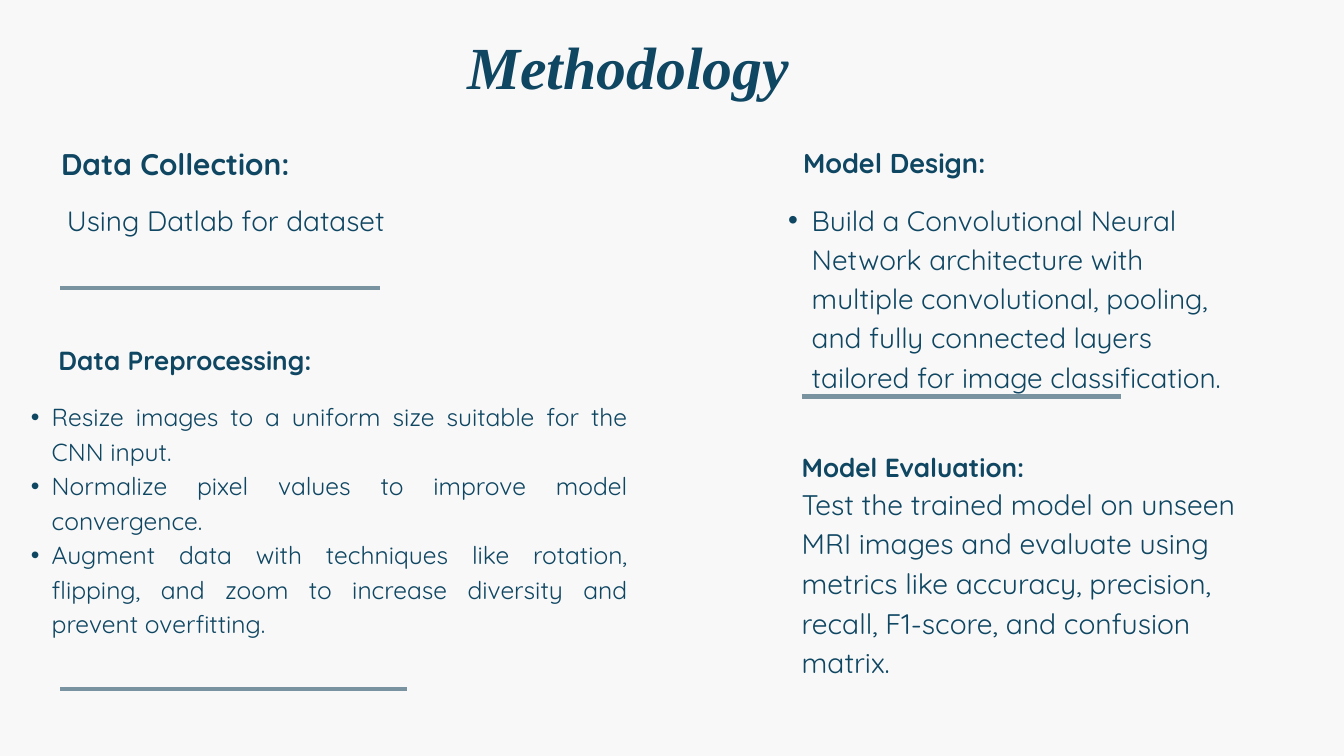
import pptx
import pptx.dml.color
import pptx.enum.shapes
import pptx.enum.text
import pptx.oxml
import pptx.oxml.ns
import pptx.util

Inches = pptx.util.Inches
Pt = pptx.util.Pt
Align = pptx.enum.text.PP_ALIGN

NAVY = "0F4662"
GREY_BLUE = "7994A0"
BACKGROUND = "F8F8F8"


def color(hex_value):
    return pptx.dml.color.RGBColor.from_string(hex_value)


def add_text(box, paragraphs, size, spacing, align=Align.LEFT, hanging=None, **font_extras):
    """Add a text box; hanging is the bullet's hanging indent in inches, half the left margin."""
    frame = slide.shapes.add_textbox(*[Inches(value) for value in box]).text_frame
    frame_format = {"word_wrap": True, "margin_left": 0, "margin_top": 0,
                    "margin_right": 0, "margin_bottom": 0}
    for name, value in frame_format.items():
        setattr(frame, name, value)
    font_format = {"name": "Quicksand", "size": Pt(size), **font_extras}
    for index, text in enumerate(paragraphs):
        paragraph = frame.add_paragraph() if index else frame.paragraphs[0]
        paragraph.alignment = align
        paragraph.line_spacing = Pt(spacing)
        run = paragraph.add_run()
        run.text = text
        for name, value in font_format.items():
            setattr(run.font, name, value)
        run.font.color.rgb = color(NAVY)
        if hanging:
            paragraph.level = 1
            properties = paragraph._p.get_or_add_pPr()
            properties.set("marL", str(Inches(2 * hanging)))
            properties.set("indent", str(-Inches(hanging)))
            for tag, attribute, value in (("a:buFont", "typeface", "Arial"), ("a:buChar", "char", "•")):
                bullet = pptx.oxml.parse_xml(f"<{tag} {pptx.oxml.ns.nsdecls('a')}/>")
                bullet.set(attribute, value)
                properties.append(bullet)


presentation = pptx.Presentation()
presentation.slide_width = Inches(20)
presentation.slide_height = Inches(11.25)
slide = presentation.slides.add_slide(presentation.slide_layouts[6])
slide.background.fill.solid()
slide.background.fill.fore_color.rgb = color(BACKGROUND)

# Section dividers: left, right, height on the slide
for left, right, top in ((0.9, 5.65, 4.28), (11.93, 16.68, 5.9), (0.9, 6.06, 10.25)):
    divider = slide.shapes.add_connector(
        pptx.enum.shapes.MSO_CONNECTOR.STRAIGHT,
        Inches(left), Inches(top), Inches(right), Inches(top))
    divider.line.color.rgb = color(GREY_BLUE)
    divider.line.width = Pt(4.5)
    divider._element.spPr.append(
        pptx.oxml.parse_xml(f"<a:effectLst {pptx.oxml.ns.nsdecls('a')}/>"))

add_text((1.65, 0.26, 15.39, 1.19), ["Methodology"], 64, 89.6, Align.CENTER,
         name="Times New Roman", bold=True, italic=True)

# Section headings
for text, box, size, spacing, align in (
    ("Data Collection:", (0.91, 2.08, 5.85, 0.6), 32, 44.8, Align.JUSTIFY),
    ("Data Preprocessing:", (0.87, 5.05, 5.85, 1.08), 28, 39.2, Align.JUSTIFY),
    ("Model Design:", (11.95, 2.1, 6.11, 0.54), 29.2, 41, Align.LEFT),
    ("Model Evaluation:", (11.93, 6.64, 5.85, 0.54), 28, 39.2, Align.JUSTIFY),
):
    add_text(box, [text], size, spacing, align, bold=True)

# Section bodies
add_text((0, 2.94, 6.72, 0.55), ["Using Datlab for dataset"], 30, 42, Align.CENTER)
add_text((0.15, 5.91, 9.19, 4.03), [
    "Resize images to a uniform size suitable for the CNN input.",
    "Normalize pixel values to improve model convergence.",
    "Augment data with techniques like rotation, flipping, and zoom "
    "to increase diversity and prevent overfitting.",
], 26.4, 37, Align.JUSTIFY, hanging=0.31)
add_text((11.38, 2.94, 7.26, 3.42), [
    "Build a Convolutional Neural Network architecture with multiple convolutional, "
    "pooling, and fully connected layers tailored for image classification.",
], 30, 42, hanging=0.35)
add_text((11.93, 7.16, 6.58, 2.9), [
    "Test the trained model on unseen MRI images and evaluate using metrics "
    "like accuracy, precision, recall, F1-score, and confusion matrix.",
], 30.3, 42.5)

presentation.save("out.pptx")
